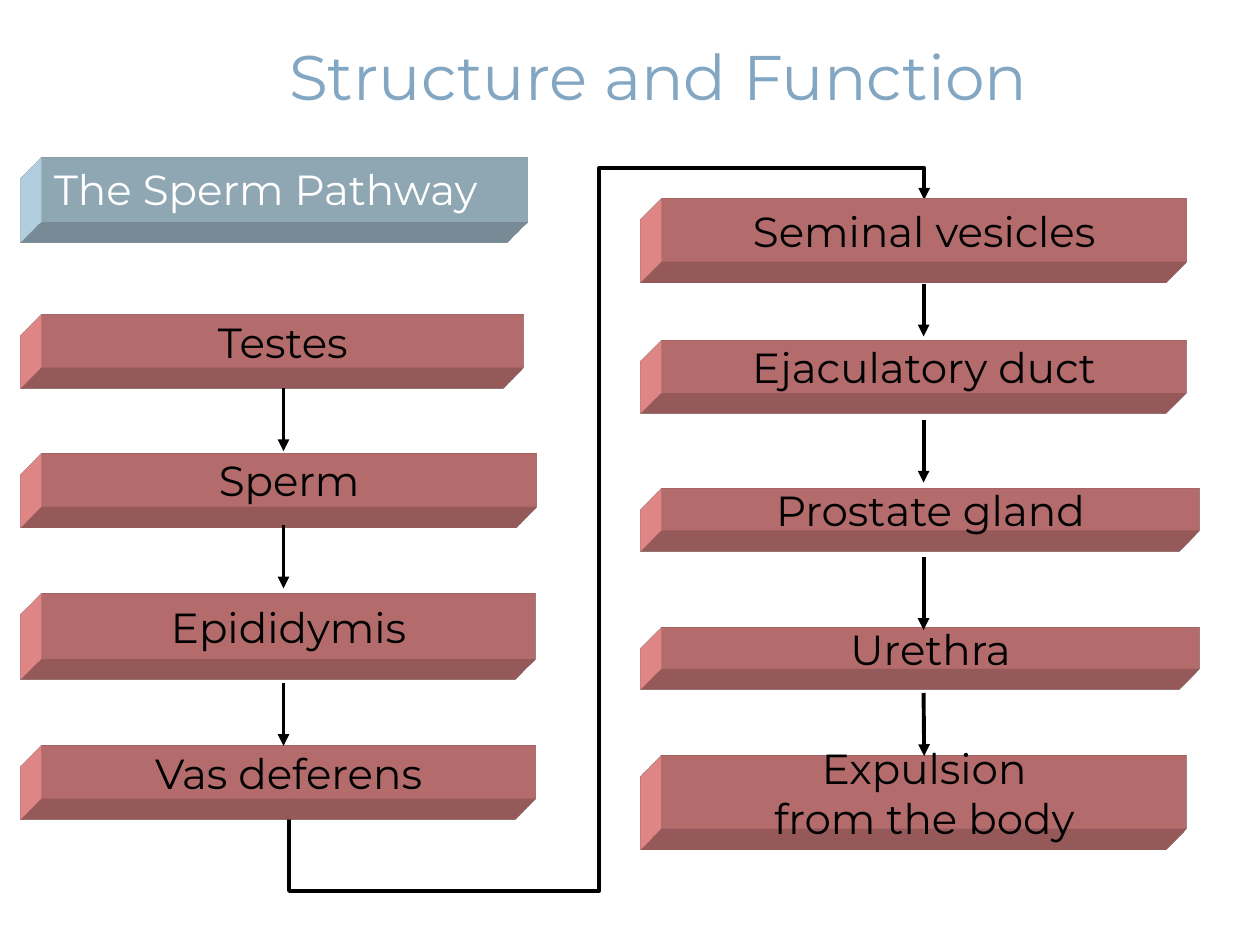
from lxml import etree
from pptx import Presentation
from pptx.dml.color import RGBColor
from pptx.enum.shapes import MSO_CONNECTOR, MSO_SHAPE
from pptx.enum.text import MSO_ANCHOR, MSO_AUTO_SIZE, PP_ALIGN
from pptx.oxml import parse_xml
from pptx.oxml.ns import qn
from pptx.util import Inches, Pt

STRAIGHT, ELBOW = MSO_CONNECTOR.STRAIGHT, MSO_CONNECTOR.ELBOW
RECTANGLE = MSO_SHAPE.RECTANGLE
TOP, MIDDLE = MSO_ANCHOR.TOP, MSO_ANCHOR.MIDDLE
LEFT, CENTER = PP_ALIGN.LEFT, PP_ALIGN.CENTER
NO_RESIZE = MSO_AUTO_SIZE.NONE

FONT = "Montserrat"
COLORS = {
    "title": "83A7C3",
    "heading": "CCECFF",
    "step": "FF9999",
    "white": "FFFFFF",
    "black": "000000",
}
DRAWING_NS = "http://schemas.openxmlformats.org/drawingml/2006/main"
SCENE = (
    f'<a:scene3d xmlns:a="{DRAWING_NS}">'
    '<a:camera prst="legacyObliqueBottomLeft"/>'
    '<a:lightRig rig="legacyFlat3" dir="t"/></a:scene3d>'
)
EXTRUSION = (
    f'<a:sp3d xmlns:a="{DRAWING_NS}" extrusionH="430200" prstMaterial="legacyMatte">'
    '<a:bevelT w="13500" h="13500" prst="angle"/>'
    '<a:bevelB w="13500" h="13500" prst="angle"/>'
    '<a:extrusionClr><a:srgbClr val="{color}"/></a:extrusionClr></a:sp3d>'
)

LEFT_COLUMN, RIGHT_COLUMN = 0.33, 5.25
LEFT_ARROWS, RIGHT_ARROWS = 2.25, 7.33
STEPS = [
    ("Testes", LEFT_COLUMN, 2.5, 3.83, 0.42),
    ("Sperm", LEFT_COLUMN, 3.6, 3.93, 0.42),
    ("Epididymis", LEFT_COLUMN, 4.71, 3.92, 0.52),
    ("Vas deferens", LEFT_COLUMN, 5.92, 3.92, 0.42),
    ("Seminal vesicles", RIGHT_COLUMN, 1.58, 4.17, 0.5),
    ("Ejaculatory duct", RIGHT_COLUMN, 2.7, 4.17, 0.42),
    ("Prostate gland", RIGHT_COLUMN, 3.88, 4.27, 0.33),
    ("Urethra", RIGHT_COLUMN, 4.98, 4.27, 0.33),
    ("Expulsion\nfrom the body", RIGHT_COLUMN, 6, 4.17, 0.58),
]
ARROWS = [
    (LEFT_ARROWS, 3.08, 3.58),
    (LEFT_ARROWS, 4.17, 4.67),
    (LEFT_ARROWS, 5.42, 5.92),
    (RIGHT_ARROWS, 2.25, 2.67),
    (RIGHT_ARROWS, 3.33, 3.83),
    (RIGHT_ARROWS, 4.42, 5),
    (RIGHT_ARROWS, 5.5, 6),
]


def rgb(name):
    return RGBColor.from_string(COLORS[name])


def write_text(shape, text, size, color, anchor, alignment):
    frame = shape.text_frame
    frame.text = text
    frame.word_wrap = False
    frame.auto_size = NO_RESIZE
    frame.vertical_anchor = anchor
    for paragraph in frame.paragraphs:
        paragraph.alignment = alignment
        paragraph.font.name = FONT
        paragraph.font.size = Pt(size)
        paragraph.font.color.rgb = rgb(color)


def place(shape, left, top, width, height):
    shape.left, shape.top = Inches(left), Inches(top)
    shape.width, shape.height = Inches(width), Inches(height)


def add_title(slide, text):
    title = slide.shapes.title
    place(title, 2.08, 0.25, 6.29, 0.71)
    write_text(title, text, 36, "title", TOP, CENTER)


def add_block(slide, text, left, top, width, height, fill="step",
              color="black", anchor=MIDDLE, alignment=CENTER):
    block = slide.shapes.add_shape(
        RECTANGLE, Inches(left), Inches(top), Inches(width), Inches(height))
    block.shadow.inherit = False
    block.fill.solid()
    block.fill.fore_color.rgb = rgb(fill)
    block.line.fill.background()
    properties = block._element.spPr
    properties.append(parse_xml(SCENE))
    properties.append(parse_xml(EXTRUSION.format(color=COLORS[fill])))
    write_text(block, text, 24, color, anchor, alignment)
    return block


def add_arrow(slide, kind, start, end):
    arrow = slide.shapes.add_connector(
        kind, *(Inches(value) for value in (*start, *end)))
    arrow.line.color.rgb = rgb("black")
    arrow.line.width = Pt(2.25)
    line = arrow.line._get_or_add_ln()
    etree.SubElement(line, qn("a:tailEnd"), type="triangle")
    etree.SubElement(arrow._element.spPr, qn("a:effectLst"))
    return arrow


def add_column_link(slide):
    link = add_arrow(slide, ELBOW, (2.29, 6.33), (7.33, 1.58))
    place(link, 2.44, 1.44, 4.75, 5.04)
    properties = link._element.spPr
    transform = properties.find(qn("a:xfrm"))
    for name, value in (("rot", "5400000"), ("flipH", "1"), ("flipV", "1")):
        transform.set(name, value)
    geometry = properties.find(qn("a:prstGeom"))
    geometry.set("prst", "bentConnector5")
    adjustments = geometry.get_or_add_avLst()
    for number, value in enumerate((-15500, 48800, 105300), start=1):
        etree.SubElement(adjustments, qn("a:gd"),
                         name=f"adj{number}", fmla=f"val {value}")


def main():
    presentation = Presentation()
    presentation.slide_width, presentation.slide_height = Inches(10), Inches(7.5)
    slide = presentation.slides.add_slide(presentation.slide_layouts[5])
    add_title(slide, "Structure and Function")
    add_block(slide, "The Sperm Pathway", LEFT_COLUMN, 1.25, 3.86, 0.51,
              "heading", "white", TOP, LEFT)
    add_column_link(slide)
    blocks = [add_block(slide, *step) for step in STEPS]
    arrows = [add_arrow(slide, STRAIGHT, (x, top), (x, bottom))
              for x, top, bottom in ARROWS]
    arrows[-1].end_connect(blocks[-1], 0)
    presentation.save("out.pptx")


if __name__ == "__main__":
    main()
